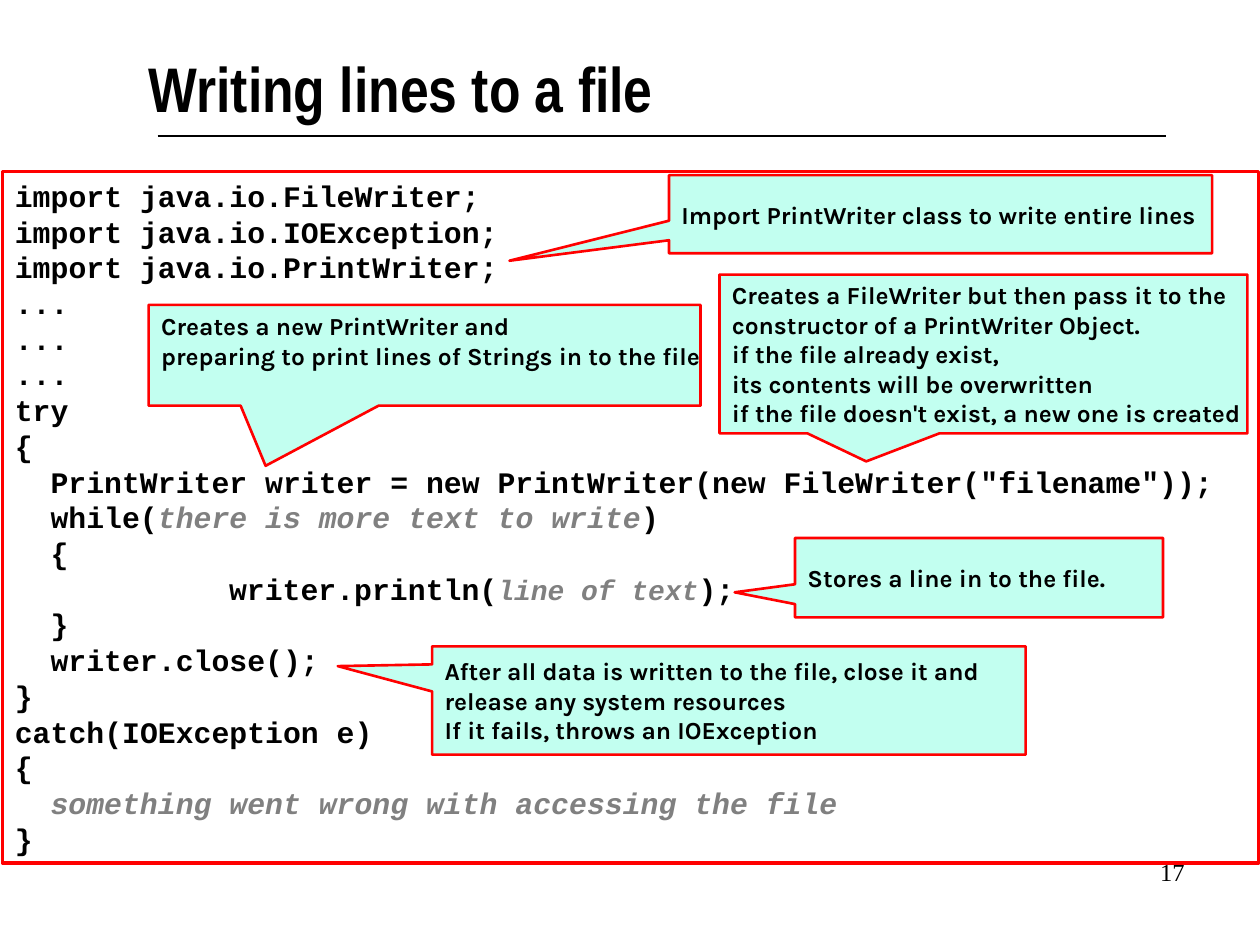
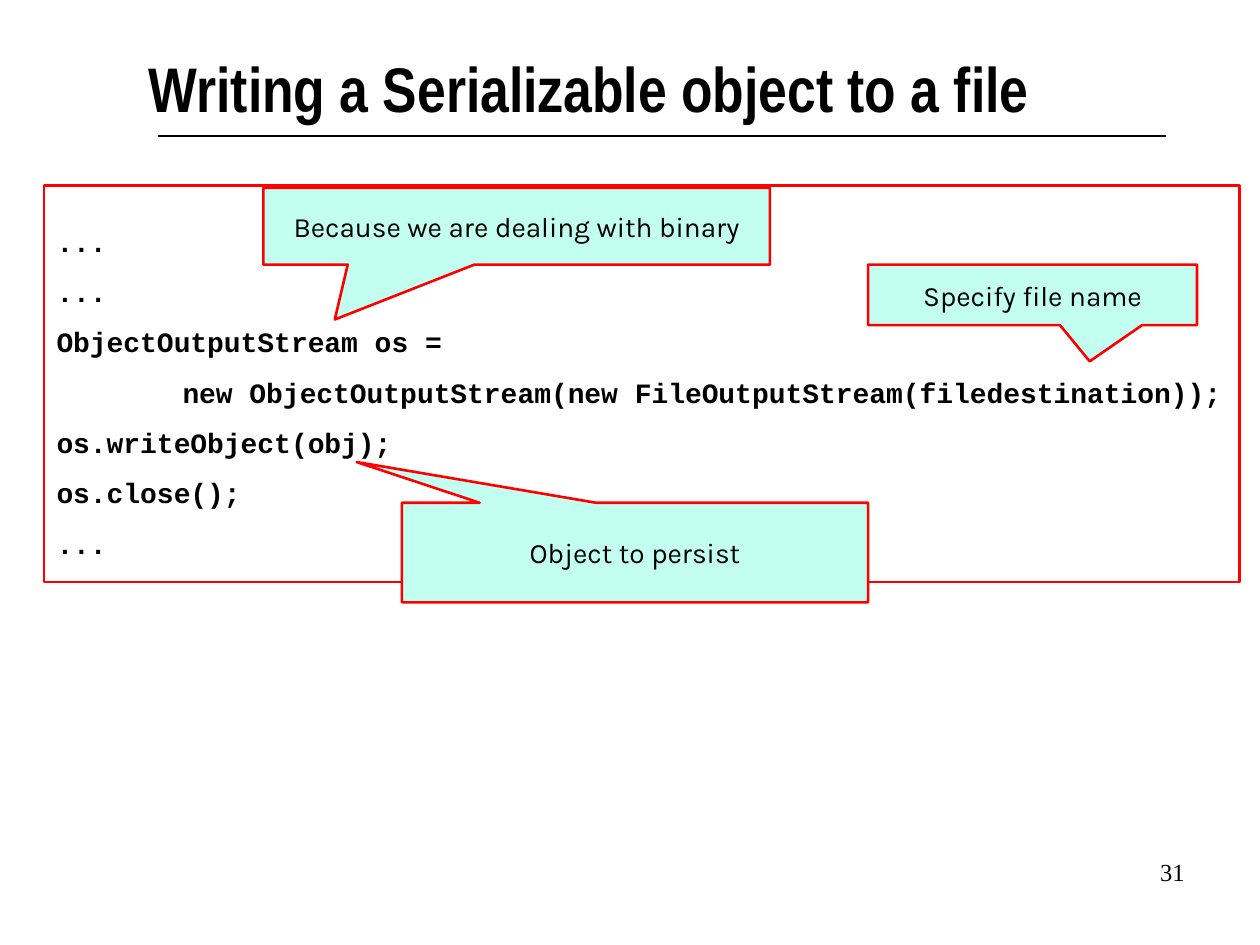
"""Build two slides of annotated Java code on writing to files."""
import pptx
import pptx.util
import pptx.dml.color
import pptx.enum.shapes
import pptx.enum.text
import pptx.oxml

Pt = pptx.util.Pt
ALIGN = pptx.enum.text.PP_ALIGN
ANCHOR = pptx.enum.text.MSO_ANCHOR
SHAPE = pptx.enum.shapes.MSO_SHAPE
COLORS = {"ink": "000000", "hint": "808080", "edge": "FF0000",
          "note": "C2FFF0", "page": "FFFFFF"}
STEP = 20.4
DEEP = 6 * STEP

SLIDES = [
    {"title": "Writing lines to a file", "page": "17",
     "box": (1.44, 97.92, 717.84, 395.28), "fill": "page", "edge": 2,
     "size": 17, "space": 1, "anchor": ANCHOR.TOP,
     "code": [
         (0, "import java.io.FileWriter;"),
         (0, "import java.io.IOException;"),
         (0, "import java.io.PrintWriter;"),
         (0, "..."), (0, "..."), (0, "..."),
         (0, "try"),
         (0, "{"),
         (STEP, 'PrintWriter writer = new PrintWriter(new FileWriter("filename"));'),
         (STEP, "while(", ("there is more text to write", 17), ")"),
         (STEP, "{"),
         (DEEP, "writer.println(", ("line of text", 16), ");"),
         (STEP, "}"),
         (STEP, "writer.close();"),
         (0, "}"),
         (0, "catch(IOException e)"),
         (0, "{"),
         (STEP, ("something went wrong with accessing the file", 17)),
         (0, "}")],
     "style": {"size": 14, "bold": True, "align": ALIGN.LEFT},
     "notes": [
         ((84.96, 174.24, 315.36, 57.6), (151.8, 266.2), ANCHOR.TOP,
          ["Creates a new PrintWriter and",
           "preparing to print lines of Strings in to the file"]),
         ((411.12, 156.96, 301.68, 90.72), (495, 263.7), ANCHOR.MIDDLE,
          ["Creates a FileWriter but then pass it to the",
           "constructor of a PrintWriter Object.",
           "if the file already exist,",
           "its contents will be overwritten",
           "if the file doesn't exist, a new one is created"]),
         ((454.32, 307.44, 210.24, 45.36), (419.8, 338.5), ANCHOR.MIDDLE,
          ["Stores a line in to the file."]),
         ((246.96, 369.36, 339.12, 61.92), (193, 380.7), ANCHOR.MIDDLE,
          ["After all data is written to the file, close it and",
           "release any system resources",
           "If it fails, throws an IOException"]),
         ((382.32, 100.08, 310.32, 44.64), (291.1, 149), ANCHOR.MIDDLE,
          ["Import PrintWriter class to write entire lines"])]},
    {"title": "Writing a Serializable object to a file", "page": "31",
     "box": (25.2, 105.84, 683.28, 226.8), "fill": None, "edge": 1.5,
     "size": 16, "space": 1.5, "anchor": ANCHOR.MIDDLE,
     "code": [
         (0, "..."), (0, "..."),
         (0, "ObjectOutputStream os ="),
         (72, "new ObjectOutputStream(new FileOutputStream(filedestination));"),
         (0, "os.writeObject(obj);"),
         (0, "os.close();"),
         (0, "...")],
     "style": {"size": 16, "bold": False, "align": ALIGN.CENTER},
     "notes": [
         ((229.68, 287.28, 266.4, 56.88), (203.8, 264), ANCHOR.MIDDLE,
          ["Object to persist"]),
         ((496.08, 151.2, 187.92, 34.56), (622.7, 206.5), ANCHOR.MIDDLE,
          ["Specify file name"]),
         ((150.48, 107.28, 289.44, 43.92), (191.3, 182.6), ANCHOR.MIDDLE,
          ["Because we are dealing with binary"])]},
]


def tint(color, name):
    color.rgb = pptx.dml.color.RGBColor.from_string(COLORS[name])


def style(para, face, size, bold=False, align=ALIGN.LEFT):
    para.alignment = align
    font = para.font
    font.name, font.size, font.bold = face, Pt(size), bold
    tint(font.color, "ink")


def paras(frame, count):
    return [frame.paragraphs[0]] + [frame.add_paragraph() for _ in range(count - 1)]


def panel(slide, kind, box, fill, edge):
    shape = slide.shapes.add_shape(kind, *map(Pt, box))
    shape.shadow.inherit = False
    if fill:
        shape.fill.solid()
        tint(shape.fill.fore_color, fill)
    else:
        shape.fill.background()
    tint(shape.line.color, "edge")
    shape.line.width = Pt(edge)
    return shape


def frame(slide, data):
    title = slide.shapes.title
    title.left, title.top, title.width, title.height = map(Pt, (84.96, 28.08, 550.8, 54))
    text = title.text_frame
    text.text = data["title"]
    text.margin_left = text.margin_right = text.margin_top = text.margin_bottom = 0
    text.vertical_anchor = ANCHOR.TOP
    text.auto_size = pptx.enum.text.MSO_AUTO_SIZE.NONE
    style(text.paragraphs[0], "Arial Narrow", 36, True)
    rule = slide.shapes.add_connector(
        pptx.enum.shapes.MSO_CONNECTOR.STRAIGHT, Pt(90), Pt(77.76), Pt(666), Pt(77.76))
    rule.line.width = Pt(0.75)
    tint(rule.line.color, "ink")
    rule._element.spPr.append(pptx.oxml.parse_xml(
        '<a:effectLst xmlns:a="http://schemas.openxmlformats.org/drawingml/2006/main"/>'))
    page = slide.shapes.add_textbox(*map(Pt, (534.24, 486, 149.76, 36))).text_frame
    page.word_wrap = True
    page.text = data["page"]
    style(page.paragraphs[0], "Times New Roman", 14, align=ALIGN.RIGHT)


def code(slide, data):
    shape = panel(slide, SHAPE.RECTANGLE, data["box"], data["fill"], data["edge"])
    text = shape.text_frame
    text.word_wrap = True
    text.vertical_anchor = data["anchor"]
    rows = data["code"]
    for para, (indent, *parts) in zip(paras(text, len(rows)), rows):
        style(para, "Courier New", data["size"], True)
        para.line_spacing = data["space"]
        para._p.get_or_add_pPr().set("marL", str(Pt(indent)))
        for part in parts:
            run = para.add_run()
            if isinstance(part, str):
                run.text = part
            else:
                run.text, size = part
                run.font.size, run.font.italic = Pt(size), True
                tint(run.font.color, "hint")


def note(slide, look, box, tip, anchor, lines):
    shape = panel(slide, SHAPE.RECTANGULAR_CALLOUT, box, "note", 1.5)
    for axis in (0, 1):
        start, span = box[axis], box[axis + 2]
        shape.adjustments[axis] = (tip[axis] - start) / span - 0.5
    text = shape.text_frame
    text.word_wrap = False
    text.vertical_anchor = anchor
    for para, line in zip(paras(text, len(lines)), lines):
        para.text = line
        style(para, "Karla", **look)


def main():
    deck = pptx.Presentation()
    deck.slide_width, deck.slide_height = Pt(720), Pt(540)
    for data in SLIDES:
        slide = deck.slides.add_slide(deck.slide_layouts[5])
        frame(slide, data)
        code(slide, data)
        for item in data["notes"]:
            note(slide, data["style"], *item)
    deck.save("out.pptx")


if __name__ == "__main__":
    main()
